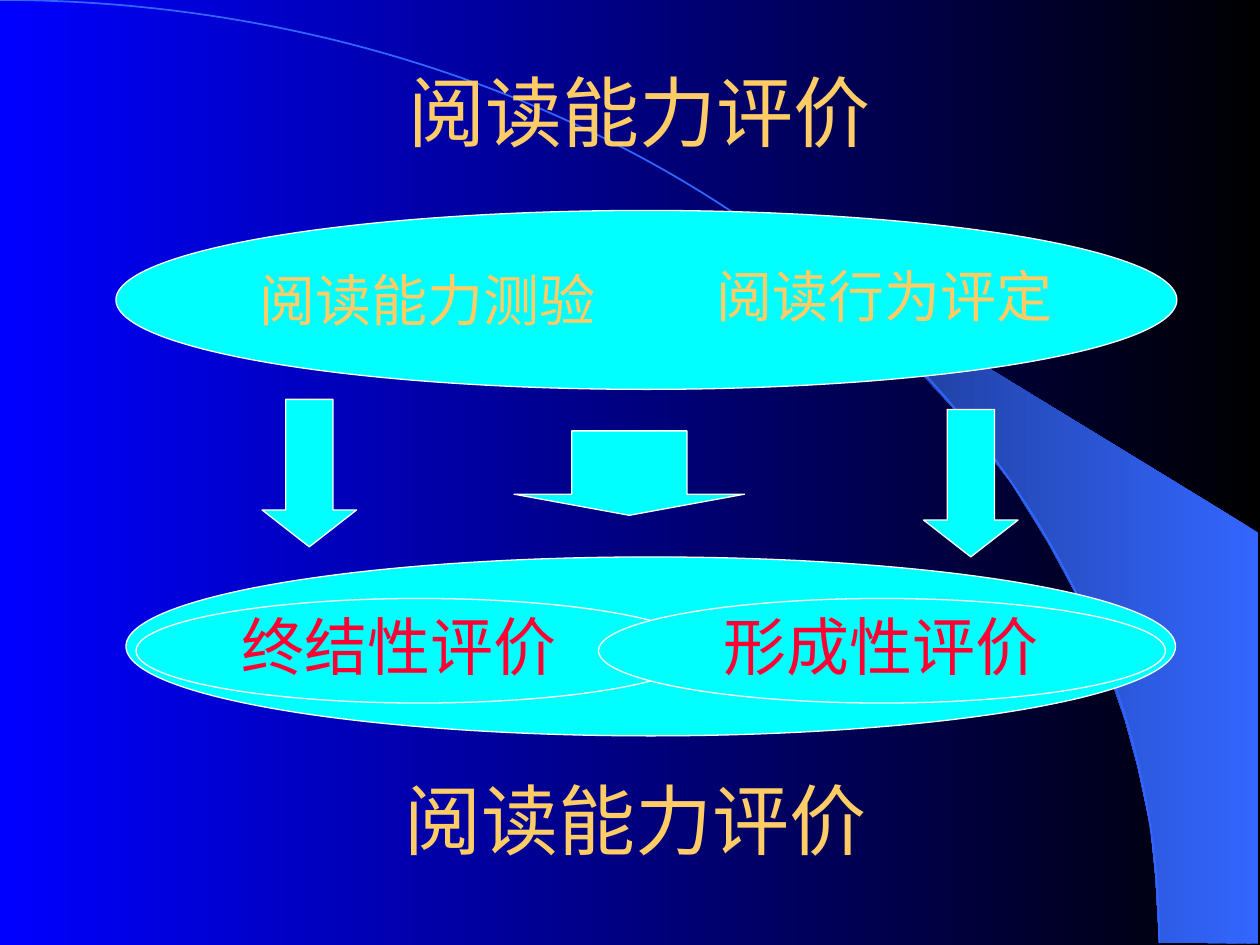
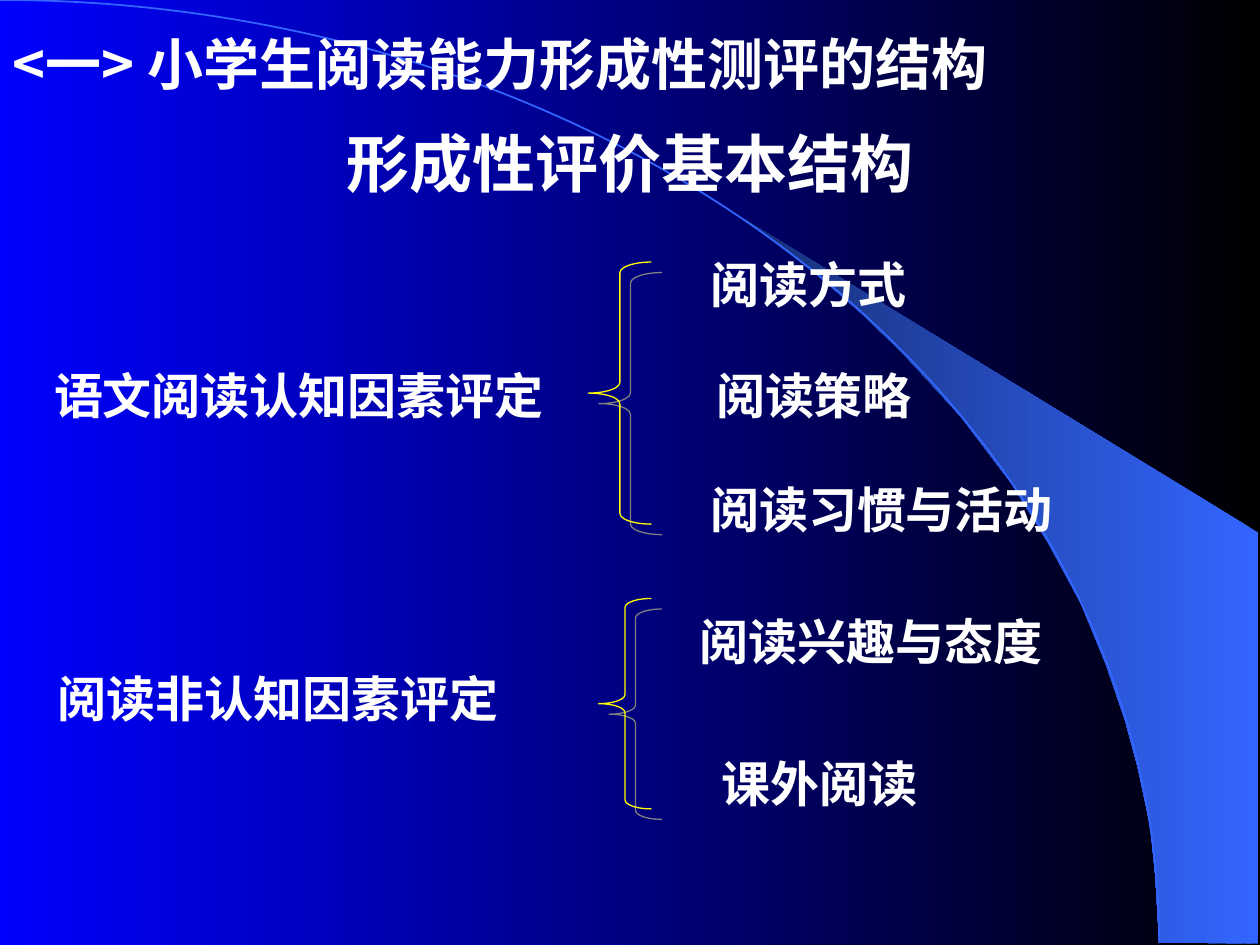
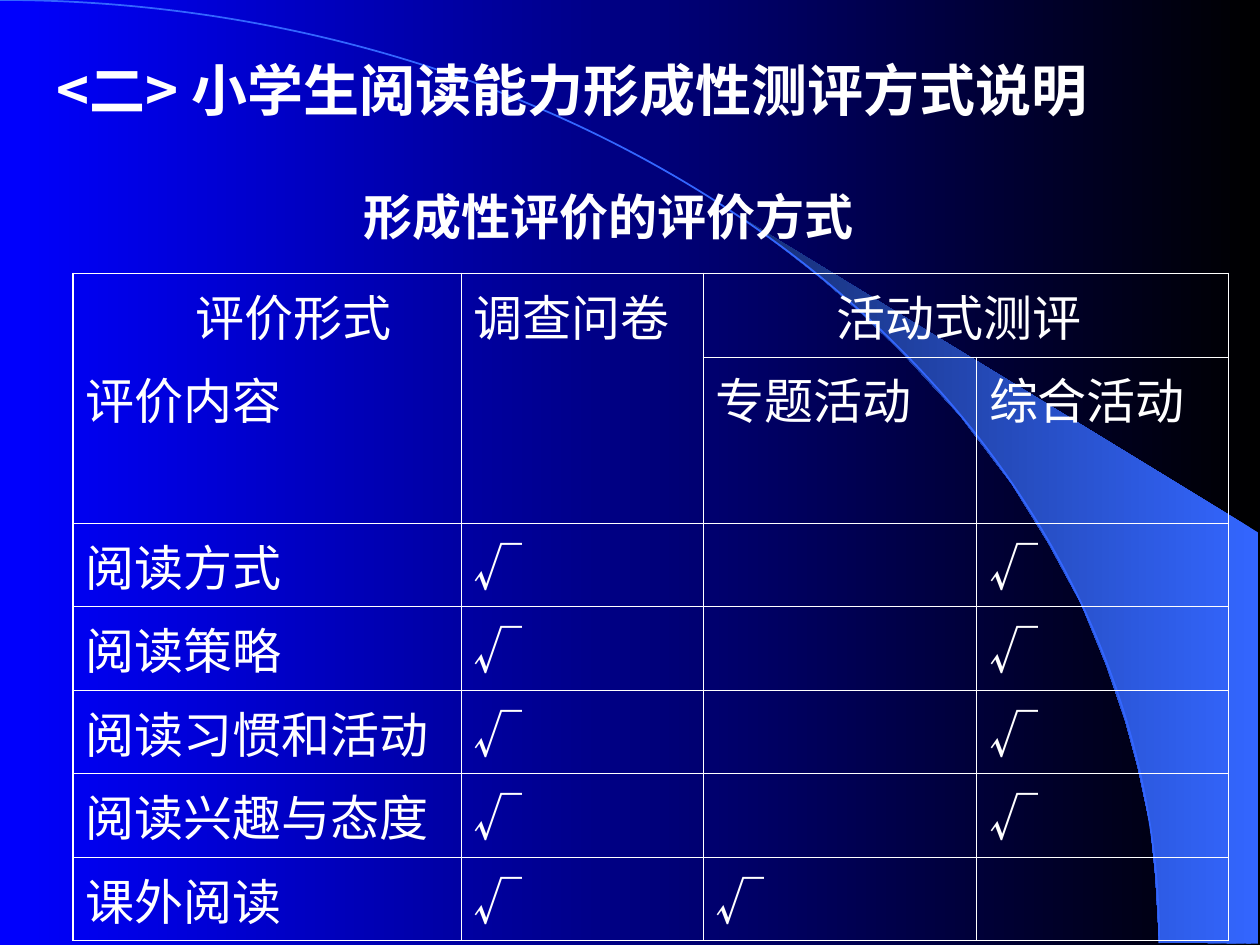
from lxml import etree
from pptx import Presentation
from pptx.dml.color import RGBColor
from pptx.enum import shapes, text
from pptx.oxml import parse_xml
from pptx.oxml.ns import nsdecls, qn
from pptx.util import Inches, Pt

COLORS = {
    "black": "000000", "blue": "0000FF", "sky": "3366FF", "navy": "172F75",
    "cyan": "00FFFF", "white": "FFFFFF", "gold": "FFCC66", "red": "FF0033",
    "yellow": "FFFF00", "gray": "808080",
}
CJK_FONT = "Noto Sans CJK SC"
STYLES = {
    "title": {"size": 44, "color": "gold", "name": "Arial", "bold": False},
    "label": {"size": 32, "color": "gold", "name": "Arial", "bold": False},
    "type": {"size": 36, "color": "red", "name": "Arial", "bold": False},
    "section": {"size": 32, "color": "white", "name": CJK_FONT, "bold": True},
    "structure": {"size": 36, "color": "white", "name": CJK_FONT, "bold": True},
    "item": {"size": 28, "color": "white", "name": "Arial", "bold": True},
    "cell": {"size": 28, "color": "white", "name": "Times New Roman", "bold": False},
    "tick": {"size": 28, "color": "white", "name": CJK_FONT, "bold": False},
}
RAY = [(9.2, 7.48), (9.99, 7.49), (9.99, 4.23), (5.89, 1.73), (6.24, 1.99),
       (6.53, 2.22), (6.85, 2.5), (7.16, 2.8), (7.62, 3.3), (8.03, 3.84),
       (8.32, 4.31), (8.58, 4.79), (8.78, 5.28), (8.93, 5.72), (9.03, 6.09),
       (9.13, 6.56), (9.17, 6.96)]
ITEMS = ["阅读方式", "阅读策略", "阅读习惯和活动", "阅读兴趣与态度", "课外阅读"]


def rgb(name):
    return RGBColor.from_string(COLORS[name])


def inches(box):
    return [Inches(length) for length in box]


def format_span(span, style):
    font = span.font
    values = STYLES[style]
    for key, value in {"size": Pt(values["size"]), "name": values["name"],
                       "bold": values["bold"]}.items():
        setattr(font, key, value)
    font.color.rgb = rgb(values["color"])
    east_asian = etree.SubElement(span._r.get_or_add_rPr(), qn("a:ea"))
    east_asian.set("typeface", CJK_FONT)


def write(frame, words, style, align=text.PP_ALIGN.CENTER):
    for key, value in {"word_wrap": True, "auto_size": text.MSO_AUTO_SIZE.NONE,
                       "vertical_anchor": text.MSO_ANCHOR.MIDDLE}.items():
        setattr(frame, key, value)
    para = frame.paragraphs[0]
    para.alignment = align
    span = para.add_run()
    span.text = words
    format_span(span, style)


def add_label(page, box, words, style, align=text.PP_ALIGN.CENTER):
    label = page.shapes.add_textbox(*inches(box))
    write(label.text_frame, words, style, align)
    return label


def set_title(page, box, words, style):
    title = page.shapes.title
    title.left, title.top, title.width, title.height = inches(box)
    write(title.text_frame, words, style)


def add_preset(page, kind, box, fill, line, weight=0.75, adjustments=()):
    shape = page.shapes.add_shape(kind, *inches(box))
    shape.shadow.inherit = False
    for index, value in enumerate(adjustments):
        shape.adjustments[index] = value
    if fill:
        shape.fill.solid()
        shape.fill.fore_color.rgb = rgb(fill)
    else:
        shape.fill.background()
    shape.line.color.rgb = rgb(line)
    shape.line.width = Pt(weight)
    return shape


def fill_gradient(fill, start, end):
    """Run the gradient from start on the right to end on the left."""
    fill.gradient()
    fill.gradient_angle = 180
    for stop, name, position in zip(fill.gradient_stops, (start, end), (0, 1)):
        stop.color.rgb = rgb(name)
        stop.position = position


def decorate_master(deck, page):
    """Build the ray and arc on a page, then move them behind the master's text."""
    master = deck.slide_master
    fill_gradient(master.background.fill, "black", "blue")
    builder = page.shapes.build_freeform(*inches(RAY[0]), scale=1.0)
    builder.add_line_segments([inches(point) for point in RAY[1:]], close=True)
    ray = builder.convert_to_shape()
    ray.shadow.inherit = False
    fill_gradient(ray.fill, "sky", "navy")
    ray.line.fill.background()
    arc = add_preset(page, shapes.MSO_SHAPE.ARC, (-9.2, 0, 18.4, 14.97), None, "sky", 1)
    for index, shape in enumerate((ray, arc), start=2):
        master.shapes.element.insert(index, shape.element)


def add_ellipse(page, box):
    add_preset(page, shapes.MSO_SHAPE.OVAL, box, "cyan", "white")


def add_ability_methods(page, left, top):
    add_ellipse(page, (left, top, 8.42, 1.42))
    add_label(page, (left + 0.92, top + 0.25, 3.11, 0.9), "阅读能力测验", "label")
    add_label(page, (left + 4.46, top + 0.19, 3.28, 0.97), "阅读行为评定", "label")


def add_evaluation_types(page, left, top):
    add_ellipse(page, (left, top, 8.33, 1.42))
    add_ellipse(page, (left + 0.08, top + 0.33, 4.5, 0.83))
    add_label(page, (left + 0.75, top + 0.33, 2.83, 0.75), "终结性评价", "type")
    add_ellipse(page, (left + 3.75, top + 0.33, 4.5, 0.83))
    add_label(page, (left + 4.58, top + 0.41, 2.83, 0.58), "形成性评价", "type")


def build_ability_page(page):
    set_title(page, (0.83, 0.25, 8.5, 1.25), "阅读能力评价", "title")
    add_ability_methods(page, 0.92, 1.67)
    for box, head in [((2.08, 3.17, 0.75, 1.17), 0.39),
                      ((7.33, 3.25, 0.75, 1.17), 0.39),
                      ((4.08, 3.42, 1.83, 0.67), 0.25)]:
        add_preset(page, shapes.MSO_SHAPE.DOWN_ARROW, box, "cyan", "white",
                   adjustments=(0.5, head))
    add_evaluation_types(page, 1, 4.42)
    conclusion = add_label(page, (1.42, 6.08, 6.75, 0.83), "阅读能力评价", "title")
    conclusion.text_frame.margin_left = Inches(0.6)


def add_brace(page, box):
    brace = add_preset(page, shapes.MSO_SHAPE.LEFT_BRACE, box, None, "yellow",
                       adjustments=(0.17, 0.5))
    effects = brace.element.spPr.find(qn("a:effectLst"))
    effects.append(parse_xml(
        f'<a:outerShdw {nsdecls("a")} dist="{Pt(8.5)}" dir="2700000" algn="ctr" '
        f'rotWithShape="0"><a:srgbClr val="{COLORS["gray"]}"/></a:outerShdw>'))


def add_factor_group(page, factor, brace, items):
    """Place a factor, the brace beside it and the items it covers."""
    add_label(page, *factor, "item")
    add_brace(page, brace)
    for box, words in items:
        add_label(page, box, words, "item")


def build_structure_page(page):
    set_title(page, (0.75, 0.83, 8.5, 0.92), "形成性评价基本结构", "structure")
    add_factor_group(page, ((0.25, 2.67, 4.33, 0.92), "语文阅读认知因素评定 "),
                     (4.67, 2.08, 0.5, 2.08),
                     [((4.92, 1.92, 3.08, 0.67), "阅读方式 "),
                      ((5.42, 2.67, 2.08, 0.92), "阅读策略"),
                      ((5.5, 3.58, 3.08, 0.92), "阅读习惯与活动 ")])
    add_factor_group(page, ((0, 5.08, 4.5, 0.92), "阅读非认知因素评定 "),
                     (4.75, 4.75, 0.42, 1.67),
                     [((5.33, 4.75, 3.25, 0.67), "阅读兴趣与态度 "),
                      ((5.42, 5.75, 2.17, 0.92), "课外阅读")])
    add_label(page, (0, 0, 9, 1), "<一> 小学生阅读能力形成性测评的结构",
              "section", text.PP_ALIGN.LEFT)


def add_borders(cell, outer_sides):
    properties = cell._tc.get_or_add_tcPr()
    for side in "LRTB":
        width = Pt(1.08 if side in outer_sides else 0.45)
        properties.append(parse_xml(
            f'<a:ln{side} {nsdecls("a")} w="{width}"><a:solidFill>'
            f'<a:srgbClr val="{COLORS["white"]}"/></a:solidFill></a:ln{side}>'))


def write_cell(cell, lines, indent=0):
    """Write one paragraph a line and indent the first one."""
    for index, line in enumerate(lines):
        frame = cell.text_frame
        para = frame.add_paragraph() if index else frame.paragraphs[0]
        para.space_before = Pt(7)
        if indent and not index:
            para._p.get_or_add_pPr().set("marL", str(Inches(indent)))
        span = para.add_run()
        span.text = line
        format_span(span, "tick" if line == "√" else "cell")


def add_method_table(page, box):
    widths = [3.08, 1.92, 2.17, 2]
    heights = [0.57, 1.13] + [0.57] * len(ITEMS)
    table = page.shapes.add_table(len(heights), len(widths), *inches(box)).table
    table.first_row = table.horz_banding = False
    for column, width in zip(table.columns, widths):
        column.width = Inches(width)
    for row, height in zip(table.rows, heights):
        row.height = Inches(height)
    last_row, last_column = len(heights) - 1, len(widths) - 1
    for r in range(len(heights)):
        for c in range(len(widths)):
            cell = table.cell(r, c)
            edges = {"L": c == 0, "R": c == last_column, "T": r == 0, "B": r == last_row}
            add_borders(cell, [side for side, outer in edges.items() if outer])
            cell.fill.background()
    for start, end in [((0, 0), (1, 0)), ((0, 1), (1, 1)), ((0, 2), (0, 3))]:
        table.cell(*start).merge(table.cell(*end))
    write_cell(table.cell(0, 0), ["评价形式", "评价内容"], 0.87)
    write_cell(table.cell(0, 1), ["调查问卷"])
    write_cell(table.cell(0, 2), ["活动式测评"], 0.96)
    write_cell(table.cell(1, 2), ["专题活动"])
    write_cell(table.cell(1, 3), ["综合活动"])
    for r, item in enumerate(ITEMS, start=2):
        write_cell(table.cell(r, 0), [item])
        for c in (1, 2 if r == last_row else 3):
            write_cell(table.cell(r, c), ["√"])


def build_method_page(page):
    add_label(page, (0.25, 0.33, 8.83, 0.75), " <二> 小学生阅读能力形成性测评方式说明",
              "section", text.PP_ALIGN.LEFT)
    add_method_table(page, (0.58, 2.17, 9.17, 4.42))
    set_title(page, (0.58, 1.42, 8.5, 0.58), "形成性评价的评价方式", "item")


def main():
    deck = Presentation()
    deck.slide_width, deck.slide_height = inches((10, 7.5))
    title_only = deck.slide_layouts[5]
    pages = [deck.slides.add_slide(title_only) for _ in range(3)]
    decorate_master(deck, pages[0])
    for build, page in zip((build_ability_page, build_structure_page, build_method_page), pages):
        build(page)
    deck.save("out.pptx")


if __name__ == "__main__":
    main()
